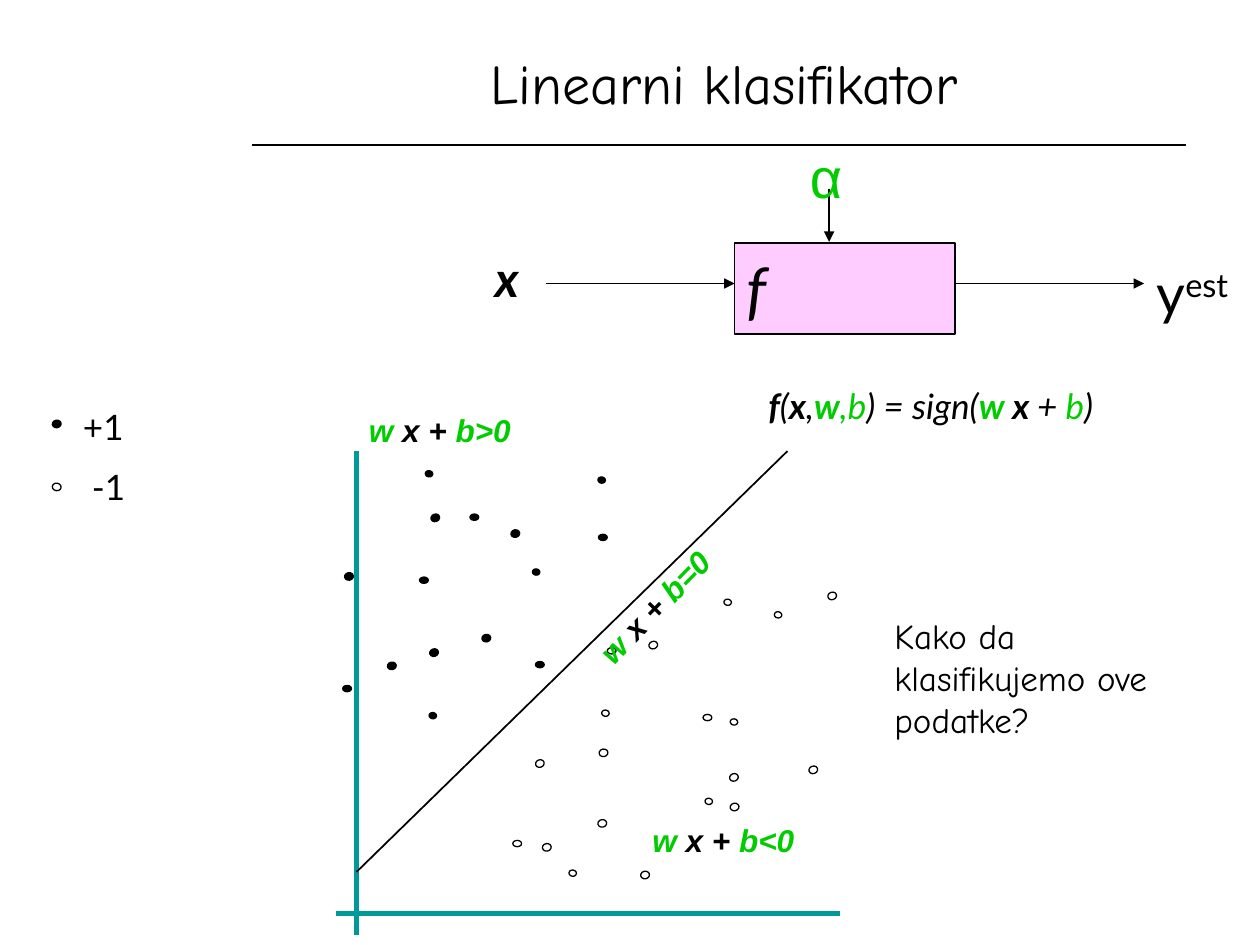
from pptx import Presentation
from pptx import util as u
from pptx.dml.color import RGBColor
from pptx.enum import shapes, text
from pptx.oxml.ns import qn
from lxml import etree

BLACK, WHITE, GREEN, TEAL, PINK = "000000", "FFFFFF", "00CC00", "009999", "FFCCFF"

# Data points: (rotation, width, height, filled positions, open positions)
POINTS = [
    (0, 0.07, 0.05,
     [(2.72, 5.44), (4.75, 4.24), (3.73, 4.08), (4.25, 5.25), (3.33, 4.58)],
     [(4.07, 6.67), (4.82, 5.14), (5.58, 5.67)]),
    (341.4, 0.07, 0.06,
     [(3.42, 4.08), (3.41, 5.15)],
     [(4.25, 6.03), (6.57, 4.7), (5.79, 6.14), (5.15, 5.09), (6.42, 6.08)]),
    (98.3, 0.05, 0.06,
     [(4.23, 4.51), (3.41, 5.65), (4.75, 3.78), (3.38, 3.73)],
     [(4.52, 6.9), (5.8, 5.7), (4.78, 5.63), (6.15, 4.85), (5.75, 4.75), (5.6, 6.33)]),
    (79.6, 0.06, 0.07,
     [(3.83, 5.03), (3.08, 5.25), (4.06, 4.2), (2.74, 4.54)],
     [(5.09, 6.91), (4.75, 6.5), (4.76, 5.94), (4.31, 6.69), (5.8, 6.37)]),
]


def colour(value):
    return RGBColor.from_string(value)


def add_line(page, start, end, width=1, line_colour=BLACK, arrow=False):
    line = page.shapes.add_connector(
        shapes.MSO_CONNECTOR.STRAIGHT, *[u.Inches(n) for n in (*start, *end)])
    line.line.color.rgb = colour(line_colour)
    line.line.width = u.Pt(width)
    if arrow:
        etree.SubElement(line.line._get_or_add_ln(), qn("a:tailEnd"), type="triangle")
    etree.SubElement(line._element.spPr, qn("a:effectLst"))


def add_shape(page, kind, place, fill, line_width=0.75, rotation=0):
    shape = page.shapes.add_shape(kind, *[u.Inches(n) for n in place])
    shape.fill.solid()
    shape.fill.fore_color.rgb = colour(fill)
    shape.line.color.rgb = colour(BLACK)
    shape.line.width = u.Pt(line_width)
    shape.shadow.inherit = False
    shape.rotation = rotation
    return shape


def write(para, spans, size, font="Lato", italic=False, align=text.PP_ALIGN.LEFT):
    """Spans are (wording, colour, bold)."""
    para.alignment = align
    para.font.size = u.Pt(size)
    para.font.name = font
    para.font.italic = italic
    for wording, span_colour, bold in spans:
        span = para.add_run()
        span.text = wording
        span.font.color.rgb = colour(span_colour)
        span.font.bold = bold


def add_text(page, place, spans, size, middle=False, rotation=0, **style):
    box = page.shapes.add_textbox(*[u.Inches(n) for n in place])
    box.rotation = rotation
    frame = box.text_frame
    frame.word_wrap = True
    frame.vertical_anchor = text.MSO_ANCHOR.MIDDLE if middle else text.MSO_ANCHOR.TOP
    write(frame.paragraphs[0], spans, size, **style)
    return frame


def add_boundary_label(page, left, top, relation, rotation=0):
    spans = [("w", GREEN, True), (" x + ", BLACK, True), ("b" + relation, GREEN, True)]
    add_text(page, (left, top, 2.67, 0.33), spans, 18, middle=True,
             rotation=rotation, font="Arial", italic=True)


def add_classifier(page):
    box = add_shape(page, shapes.MSO_SHAPE.RECTANGLE, (5.83, 1.93, 1.75, 0.72), PINK, 1)
    box.text_frame.vertical_anchor = text.MSO_ANCHOR.MIDDLE
    write(box.text_frame.paragraphs[0], [("f", BLACK, False)], 36, italic=True)
    for start, end in [((4.33, 2.25), (5.83, 2.25)), ((6.58, 1.5), (6.58, 1.92)),
                       ((7.58, 2.25), (9.08, 2.25))]:
        add_line(page, start, end, arrow=True)
    add_text(page, (3.83, 1.92, 0.67, 0.57), [("x", BLACK, True)], 28, italic=True)
    add_text(page, (6.33, 1.08, 0.42, 0.63), [("α", GREEN, False)], 32, font="Arial")
    output = add_text(page, (9.08, 2, 0.92, 0.63),
                      [("y", BLACK, False), ("est", BLACK, False)], 32)
    output.paragraphs[0].runs[1]._r.get_or_add_rPr().set("baseline", "30000")


def add_legend(page):
    frame = add_text(page, (0.42, 3.17, 2.08, 0.93), [("+1", BLACK, False)], 20)
    second = frame.add_paragraph()
    second.space_before = u.Pt(10)
    write(second, [("-1", BLACK, False)], 20)
    for para, indent in zip(frame.paragraphs, (0.14, 0.21)):
        para._p.get_or_add_pPr().set("marL", str(u.Inches(indent)))
    for top, fill, rotation in [(3.33, BLACK, 79.6), (3.83, WHITE, 98.3)]:
        add_shape(page, shapes.MSO_SHAPE.OVAL, (0.42, top, 0.06, 0.07), fill,
                  rotation=rotation)


def add_plot(page):
    add_line(page, (2.83, 3.58), (2.83, 7.42), 3, TEAL)
    add_line(page, (2.67, 7.25), (6.67, 7.25), 3, TEAL)
    for rotation, width, height, filled, hollow in POINTS:
        for fill, places in ((BLACK, filled), (WHITE, hollow)):
            for left, top in places:
                add_shape(page, shapes.MSO_SHAPE.OVAL, (left, top, width, height),
                          fill, rotation=rotation)
    add_line(page, (2.83, 6.92), (6.25, 3.58))
    add_boundary_label(page, 4.33, 4.17, "=0", rotation=314.4)
    add_boundary_label(page, 5.08, 6.5, "<0")
    add_boundary_label(page, 2.83, 3.25, ">0")


def main():
    deck = Presentation()
    deck.slide_width, deck.slide_height = u.Inches(10), u.Inches(7.5)
    page = deck.slides.add_slide(deck.slide_layouts[6])

    # Title and rule
    add_line(page, (2, 1.15), (9.41, 1.15), 0.75)
    add_text(page, (2, 0.28, 7.5, 0.75), [("Linearni klasifikator", BLACK, False)], 32,
             middle=True, font="Comic Neue", align=text.PP_ALIGN.CENTER)

    # Diagram, legend and plot
    add_classifier(page)
    add_legend(page)
    add_plot(page)

    # Formula and question
    formula = [("f", BLACK, True), ("(", BLACK, False), ("x", BLACK, True),
               (",", BLACK, False), ("w", GREEN, True), (",b", GREEN, False),
               (") = sign(", BLACK, False), ("w", GREEN, True), (" x ", BLACK, True),
               ("+ ", BLACK, False), ("b", GREEN, False), (")", BLACK, False)]
    add_text(page, (6, 3, 3.5, 0.43), formula, 20, italic=True)
    add_text(page, (7, 4.83, 2.42, 1.11),
             [("Kako da klasifikujemo ove podatke?", BLACK, False)], 20, font="Comic Neue")

    deck.save("out.pptx")


main()
